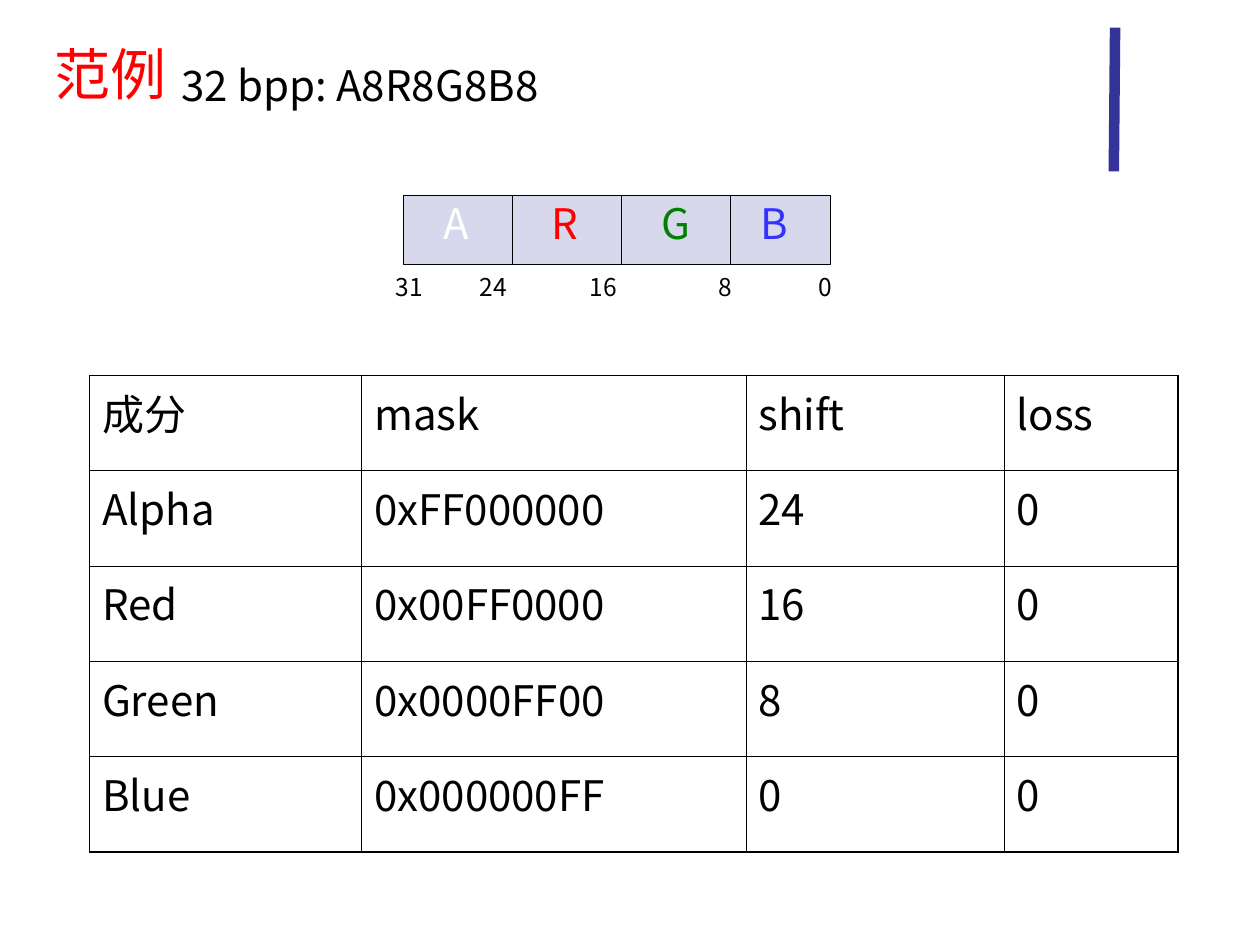
from dataclasses import dataclass

from lxml.etree import SubElement
from pptx import Presentation
from pptx.dml.color import RGBColor
from pptx.enum.shapes import MSO_CONNECTOR, MSO_SHAPE
from pptx.enum.text import MSO_ANCHOR, MSO_AUTO_SIZE, PP_ALIGN
from pptx.oxml.ns import qn
from pptx.util import Inches, Pt

FONT = "Noto Sans CJK SC"
BLACK = "000000"
RED = "FF0000"


@dataclass
class Label:
    text: str
    left: float
    top: float
    width: float
    height: float
    size: float
    color: str = BLACK


@dataclass
class Channel:
    name: str
    left: float
    color: str


@dataclass
class BitNumber:
    text: str
    left: float
    width: float


CHANNELS = [
    Channel("A", 3.42, "FFFFFF"),
    Channel("R", 4.28, RED),
    Channel("G", 5.15, "008000"),
    Channel("B", 5.94, "3333FF"),
]
BIT_NUMBERS = [
    BitNumber("31", 3.04, 0.43),
    BitNumber("24", 3.71, 0.43),
    BitNumber("16", 4.58, 0.43),
    BitNumber("8", 5.6, 0.31),
    BitNumber("0", 6.4, 0.31),
]
COLUMN_WIDTHS = [2.16, 3.05, 2.05, 1.38]
ROW_HEIGHT = 0.756
ROWS = [
    ("成分", "mask", "shift", "loss"),
    ("Alpha", "0xFF000000", "24", "0"),
    ("Red", "0x00FF0000", "16", "0"),
    ("Green", "0x0000FF00", "8", "0"),
    ("Blue", "0x000000FF", "0", "0"),
]


def rgb(color: str) -> RGBColor:
    return RGBColor.from_string(color)


def format_text(frame, size: float, color: str) -> None:
    """Apply size, colour and the Latin and East Asian font to every run."""
    for para in frame.paragraphs:
        para.alignment = PP_ALIGN.LEFT
        for span in para.runs:
            span.font.size = Pt(size)
            span.font.color.rgb = rgb(color)
            span.font.name = FONT
            SubElement(span.font._element, qn("a:ea"), typeface=FONT)


def fill_label(box, label: Label) -> None:
    box.left, box.top = Inches(label.left), Inches(label.top)
    box.width, box.height = Inches(label.width), Inches(label.height)
    frame = box.text_frame
    frame.text = label.text
    frame.word_wrap = False
    frame.auto_size = MSO_AUTO_SIZE.SHAPE_TO_FIT_TEXT
    frame.vertical_anchor = MSO_ANCHOR.TOP
    format_text(frame, label.size, label.color)


def add_label(shapes, label: Label) -> None:
    fill_label(shapes.add_textbox(0, 0, 0, 0), label)


def add_line(shapes, start: tuple[float, float], end: tuple[float, float],
             color: str, width: float) -> None:
    line = shapes.add_connector(MSO_CONNECTOR.STRAIGHT, *map(Inches, start + end))
    line.line.color.rgb = rgb(color)
    line.line.width = Pt(width)
    SubElement(line._element.spPr, qn("a:effectLst"))


def add_pixel_layout(page) -> None:
    """Draw the 32-bit word with its four channels and bit numbers."""
    left, top, width, height = 3.2, 1.55, 3.39, 0.55
    shapes = page.shapes.add_group_shape().shapes
    word = shapes.add_shape(MSO_SHAPE.RECTANGLE, *map(Inches, (left, top, width, height)))
    word.shadow.inherit = False
    word.fill.solid()
    word.fill.fore_color.rgb = rgb("D8D8EC")
    word.line.color.rgb = rgb(BLACK)
    word.line.width = Pt(0.75)
    for index in range(1, len(CHANNELS)):
        x = left + index * 0.865
        add_line(shapes, (x, top), (x, top + height), BLACK, 0.75)
    for channel in CHANNELS:
        add_label(shapes, Label(channel.name, channel.left, 1.52, 0.4, 0.5, 24, channel.color))
    for bit in BIT_NUMBERS:
        add_label(shapes, Label(bit.text, bit.left, 2.11, bit.width, 0.34, 14))


def set_borders(cell, widths: dict[str, float]) -> None:
    properties = cell._tc.get_or_add_tcPr()
    for side, width in widths.items():
        border = SubElement(properties, qn(f"a:ln{side}"), w=str(Pt(width)))
        fill = SubElement(border, qn("a:solidFill"))
        SubElement(fill, qn("a:srgbClr"), val=BLACK)


def add_component_table(page) -> None:
    last_row, last_column = len(ROWS) - 1, len(COLUMN_WIDTHS) - 1
    frame = page.shapes.add_table(
        len(ROWS), len(COLUMN_WIDTHS), Inches(0.71), Inches(2.98),
        Inches(sum(COLUMN_WIDTHS)), Inches(ROW_HEIGHT * len(ROWS)))
    table = frame.table
    table.first_row = table.horz_banding = False
    for column, width in zip(table.columns, COLUMN_WIDTHS):
        column.width = Inches(width)
    for r, values in enumerate(ROWS):
        table.rows[r].height = Inches(ROW_HEIGHT)
        for c, value in enumerate(values):
            cell = table.cell(r, c)
            cell.text_frame.text = value
            cell.text_frame.paragraphs[0].space_before = Pt(6)
            format_text(cell.text_frame, 24, BLACK)
            # Outer edges are heavier than inner ones
            outer = {"L": c == 0, "R": c == last_column, "T": r == 0, "B": r == last_row}
            set_borders(cell, {side: 1.08 if edge else 0.45 for side, edge in outer.items()})
            cell.fill.background()


def main() -> None:
    deck = Presentation()
    deck.slide_width, deck.slide_height = Inches(10), Inches(7.5)
    page = deck.slides.add_slide(deck.slide_layouts[5])

    # Heading and accent line
    add_line(page.shapes, (8.85, 0.22), (8.84, 1.36), "333399", 6)
    fill_label(page.shapes.title, Label("范例", 0.33, 0.26, 1.09, 0.64, 32, RED))
    add_label(page.shapes, Label("32 bpp: A8R8G8B8", 1.34, 0.42, 3.41, 0.5, 24))

    # Pixel format and its components
    add_pixel_layout(page)
    add_component_table(page)
    deck.save("out.pptx")


if __name__ == "__main__":
    main()
